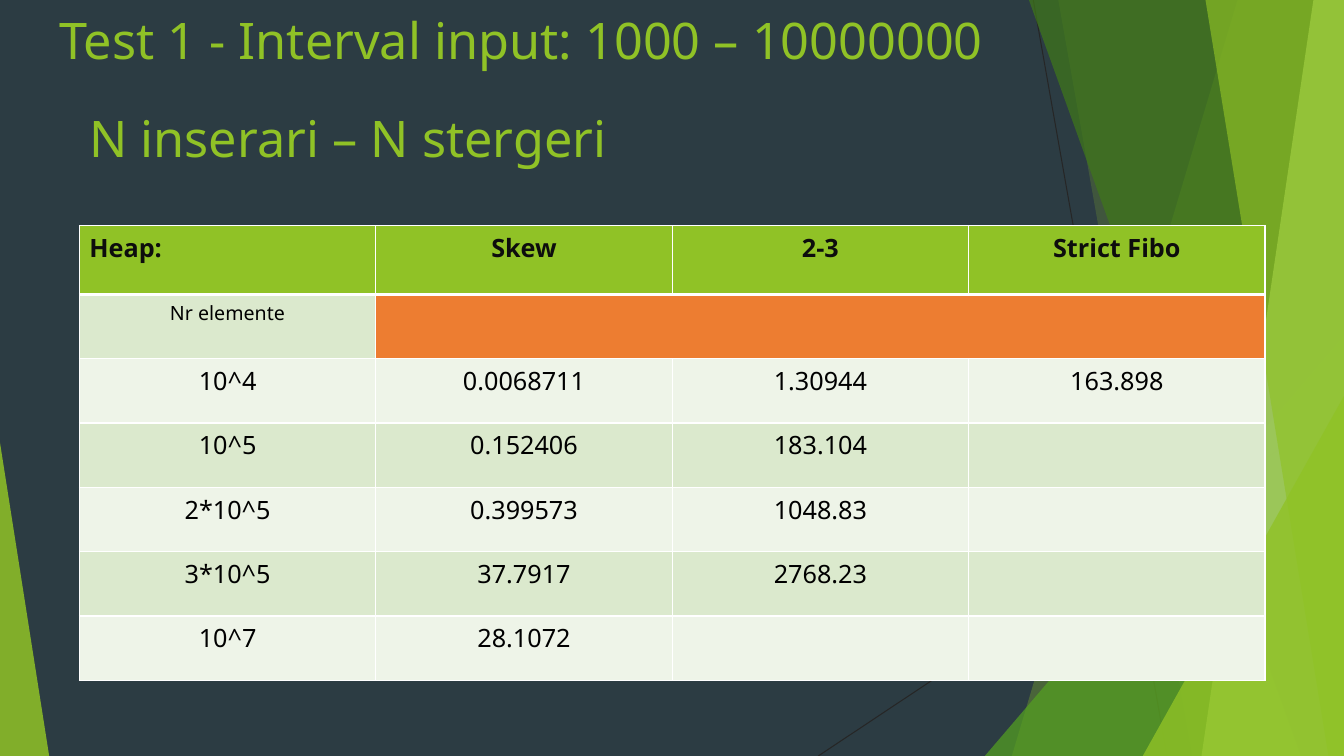
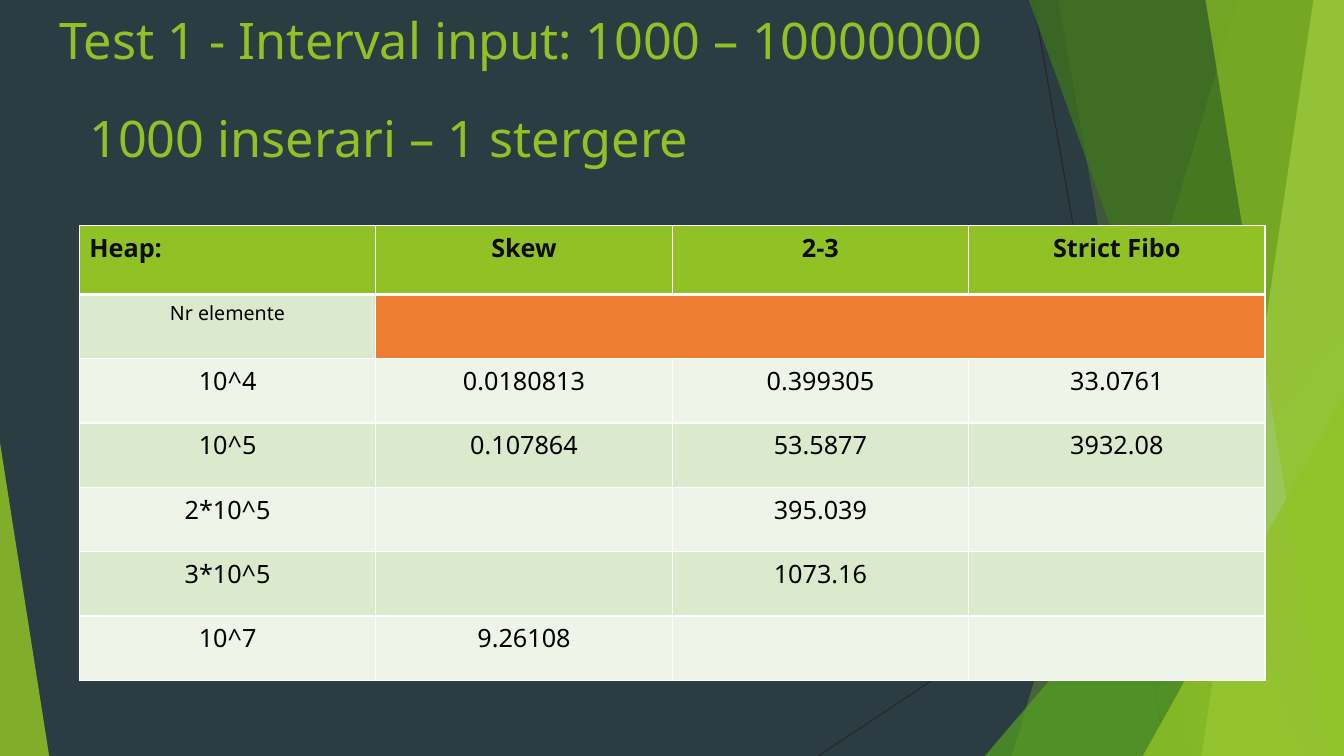
from lxml.etree import SubElement
from pptx import Presentation
from pptx.dml.color import RGBColor
from pptx.enum.shapes import MSO_CONNECTOR as CONN, MSO_SHAPE as SHAPE
from pptx.enum.text import PP_ALIGN as ALIGN
from pptx.oxml.ns import qn
from pptx.util import Cm, Pt

COLORS = {
    "bg": "2C3C43", "lime": "90C226", "green": "54A021", "forest": "3F7819",
    "pale": "C0E474", "line": "262626", "header": "0D0D0D", "text": "000000",
    "band": "DBE9CD", "light": "EEF4E8", "orange": "ED7D31", "white": "FFFFFF",
}
RGB = {name: RGBColor.from_string(value) for name, value in COLORS.items()}
WIDTH, HEIGHT = 33.87, 19.05

TITLE = {"size": Pt(36), "bold": False}
HEADER = {"size": Pt(18), "bold": True}
LABEL = {"size": Pt(14), "bold": False}
BODY = {"size": Pt(18), "bold": False}

LINES = [(26.04, 0, 29.41, HEIGHT), (WIDTH, 10.24, 20.62, HEIGHT)]
FACETS = [
    ("panel", (31.19, 25.5), "lime", 30),
    ("panel", (26.67, 30.05), "lime", 20),
    ("triangle", (24.82, 8.46, 9.05, 1), "green", 72),
    ("panel", (25.93, 32.79), "forest", 70),
    ("panel", (33.1, 30.28), "pale", 70),
    ("panel", (30.38, 33.48), "lime", 65),
    ("triangle", (28.8, 9.98, 5.07, 1), "lime", 80),
    ("triangle", (0, 11.15, 1.24, 0), "lime", 85),
]

HEADINGS = ["Heap:", "Skew", "2-3", "Strict Fibo"]
SIZES = ["10^4", "10^5", "2*10^5", "3*10^5", "10^7"]
SLIDES = [
    ("N inserari – N stergeri", [
        ["0.0068711", "1.30944", "163.898"],
        ["0.152406", "183.104", ""],
        ["0.399573", "1048.83", ""],
        ["37.7917", "2768.23", ""],
        ["28.1072", "", ""],
    ]),
    ("1000 inserari – 1 stergere", [
        ["0.0180813", "0.399305", "33.0761"],
        ["0.107864", "53.5877", "3932.08"],
        ["", "395.039", ""],
        ["", "1073.16", ""],
        ["9.26108", "", ""],
    ]),
]


def write(tf, text, style, color, align=ALIGN.LEFT):
    tf.word_wrap = True
    p = tf.paragraphs[0]
    p.alignment = align
    r = p.add_run()
    r.text = text
    r.font.name = "Noto Sans"
    r.font.color.rgb = RGB[color]
    for key, value in style.items():
        setattr(r.font, key, value)


def add_borders(cell, row):
    tc_pr = cell._tc.get_or_add_tcPr()
    thick = {"lnB": row == 0, "lnT": row == 1}
    for side in ("lnL", "lnR", "lnT", "lnB"):
        width = Pt(3 if thick.get(side) else 1)
        ln = SubElement(tc_pr, qn(f"a:{side}"), w=str(width))
        fill = SubElement(ln, qn("a:solidFill"))
        SubElement(fill, qn("a:srgbClr"), val=COLORS["white"])


prs = Presentation()
prs.slide_width, prs.slide_height = Cm(WIDTH), Cm(HEIGHT)
background = prs.slide_master.background.fill
background.solid()
background.fore_color.rgb = RGB["bg"]

for subtitle, results in SLIDES:
    slide = prs.slides.add_slide(prs.slide_layouts[6])

    for ends in LINES:
        s = slide.shapes.add_connector(CONN.STRAIGHT, *map(Cm, ends))
        s.line.color.rgb = RGB["line"]
        s.line.width = Pt(0.75)
        SubElement(s.element.spPr, qn("a:effectLst"))

    for kind, geometry, color, opacity in FACETS:
        if kind == "panel":
            top_x, bottom_x = geometry
            outline = slide.shapes.build_freeform(Cm(top_x), 0)
            corners = [(WIDTH, 0), (WIDTH, HEIGHT), (bottom_x, HEIGHT)]
            outline.add_line_segments([(Cm(x), Cm(y)) for x, y in corners])
            s = outline.convert_to_shape()
        else:
            left, top, width, apex = geometry
            s = slide.shapes.add_shape(SHAPE.ISOSCELES_TRIANGLE, Cm(left), Cm(top),
                                       Cm(width), Cm(HEIGHT - top))
            s.adjustments[0] = apex
        s.shadow.inherit = False
        s.line.fill.background()
        s.fill.solid()
        s.fill.fore_color.rgb = RGB[color]
        rgb = s.element.spPr.find(qn("a:solidFill"))[0]
        SubElement(rgb, qn("a:alpha"), val=str(opacity * 1000))

    title = slide.shapes.add_textbox(Cm(1.24), Cm(0.1), Cm(23.88), Cm(3.66))
    write(title.text_frame, "Test 1 - Interval input: 1000 – 10000000", TITLE, "lime")

    rows = [HEADINGS, ["Nr elemente", "", "", ""]]
    rows += [[size, *values] for size, values in zip(SIZES, results)]
    table = slide.shapes.add_table(len(rows), len(HEADINGS), Cm(2), Cm(5.69),
                                   Cm(29.88), Cm(11.45)).table
    for column in table.columns:
        column.width = Cm(7.47)
    for i, row in enumerate(rows):
        table.rows[i].height = Cm(1.73 if i == 0 else 1.62)
        for j, text in enumerate(row):
            cell = table.cell(i, j)
            add_borders(cell, i)
            fill = "lime" if i == 0 else "band" if i % 2 else "light"
            if i == 1 and j > 0:
                fill = "orange"
            cell.fill.solid()
            cell.fill.fore_color.rgb = RGB[fill]
            if text:
                style = HEADER if i == 0 else LABEL if i == 1 else BODY
                align = ALIGN.LEFT if i == j == 0 else ALIGN.CENTER
                write(cell.text_frame, text, style, "header" if i == 0 else "text", align)
    table.cell(1, 1).merge(table.cell(1, 3))

    sp = slide.shapes.add_textbox(Cm(2), Cm(2.57), Cm(21.95), Cm(1.8))
    write(sp.text_frame, subtitle, TITLE, "lime")

prs.save("out.pptx")
